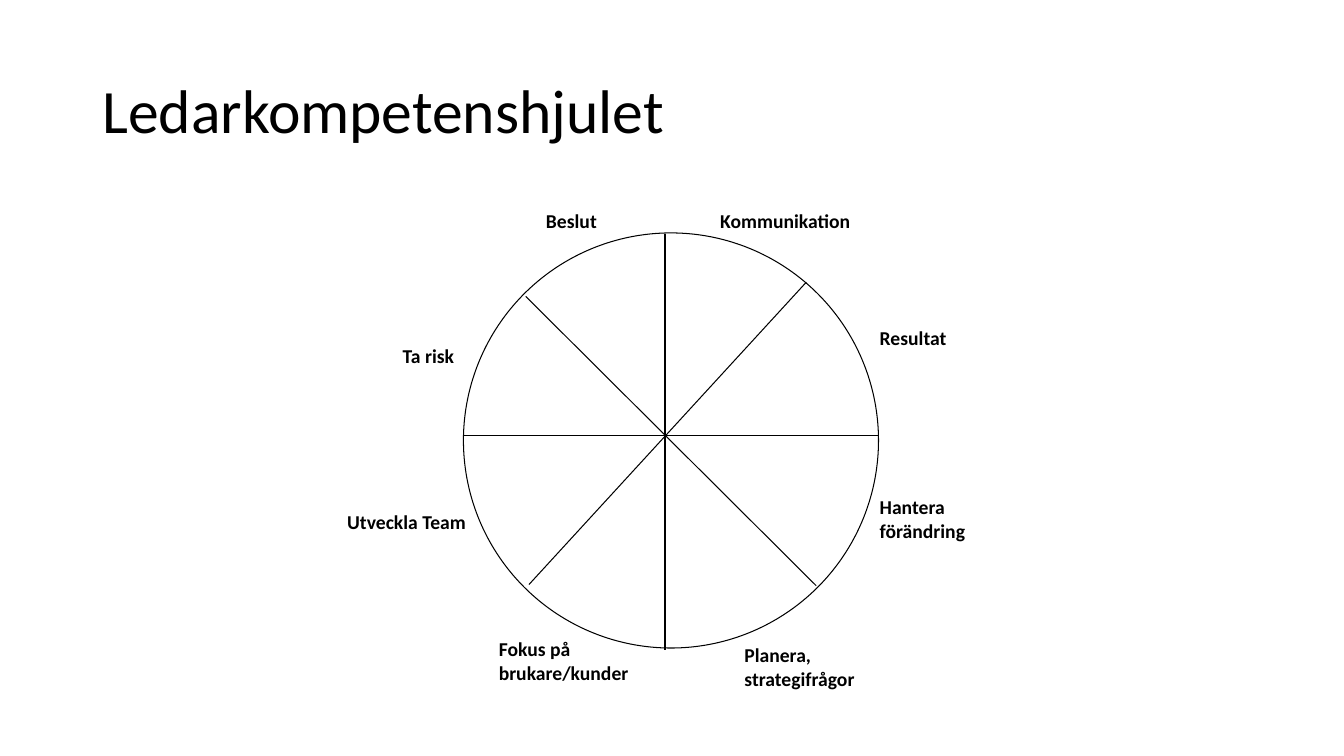
import pptx
import pptx.util
import pptx.dml.color
import pptx.enum.shapes
import pptx.enum.text
import pptx.oxml.ns
import lxml.etree

Cm = pptx.util.Cm
Pt = pptx.util.Pt
COLOURS = {"ink": "000000", "paper": "FFFFFF"}
FONT = "Calibri"

SPOKES = [
    ((0, 5.11), (10.46, 5.11)),
    ((1.57, 1.6), (8.89, 8.89)),
    ((1.65, 8.86), (8.64, 1.24)),
    ((5.08, 0.03), (5.08, 10.52)),
]
COMPETENCES = [
    ("Hantera förändring", 10.24, 6.48, 1.45),
    ("Resultat", 10.24, 2.21, 0.86),
    ("Kommunikation", 6.22, -0.74, 0.86),
    ("Beslut", 1.83, -0.74, 0.86),
    ("Planera, strategifrågor", 6.83, 10.21, 1.45),
    ("Fokus på brukare/kunder", 0.64, 10.06, 1.45),
    ("Utveckla Team", -3.18, 6.86, 0.86),
    ("Ta risk", -1.78, 2.67, 0.86),
]
LABEL_WIDTH = 3.99


def colour(name):
    return pptx.dml.color.RGBColor.from_string(COLOURS[name])


def add_text(slide, text, left, top, width, height, size=14, bold=False,
             anchor=pptx.enum.text.MSO_ANCHOR.TOP, spacing=1.0):
    box = slide.shapes.add_textbox(Cm(left), Cm(top), Cm(width), Cm(height))
    frame = box.text_frame
    frame.word_wrap = True
    frame.vertical_anchor = anchor
    paragraph = frame.paragraphs[0]
    paragraph.line_spacing = spacing
    run = paragraph.add_run()
    run.text = text
    run.font.name = FONT
    run.font.size = Pt(size)
    run.font.bold = bold
    run.font.color.rgb = colour("ink")


def outline(part):
    part.line.color.rgb = colour("ink")
    part.line.width = Pt(0.75)


def add_spoke(slide, start, end):
    spoke = slide.shapes.add_connector(
        pptx.enum.shapes.MSO_CONNECTOR.STRAIGHT,
        *(Cm(value) for value in start + end))
    outline(spoke)
    lxml.etree.SubElement(spoke._element.spPr, pptx.oxml.ns.qn("a:effectLst"))


def add_heading(slide, left, top, width, height):
    add_text(slide, "Ledarkompetenshjulet", left, top, width, height, size=44,
             anchor=pptx.enum.text.MSO_ANCHOR.MIDDLE, spacing=0.9)


def add_wheel(slide, left, top, diameter):
    rim = slide.shapes.add_shape(
        pptx.enum.shapes.MSO_SHAPE.OVAL,
        Cm(left), Cm(top), Cm(diameter), Cm(diameter))
    rim.shadow.inherit = False
    rim.fill.solid()
    rim.fill.fore_color.rgb = colour("paper")
    outline(rim)
    for start, end in SPOKES:
        add_spoke(slide, (left + start[0], top + start[1]),
                  (left + end[0], top + end[1]))
    for competence, across, down, height in COMPETENCES:
        add_text(slide, competence, left + across, top + down,
                 LABEL_WIDTH, height, bold=True)


def main():
    deck = pptx.Presentation()
    deck.slide_width = Cm(33.87)
    deck.slide_height = Cm(19.05)
    slide = deck.slides.add_slide(deck.slide_layouts[6])
    add_heading(slide, 2.33, 1.01, 29.21, 3.68)
    add_wheel(slide, 11.68, 5.87, 10.46)
    deck.save("out.pptx")


if __name__ == "__main__":
    main()
